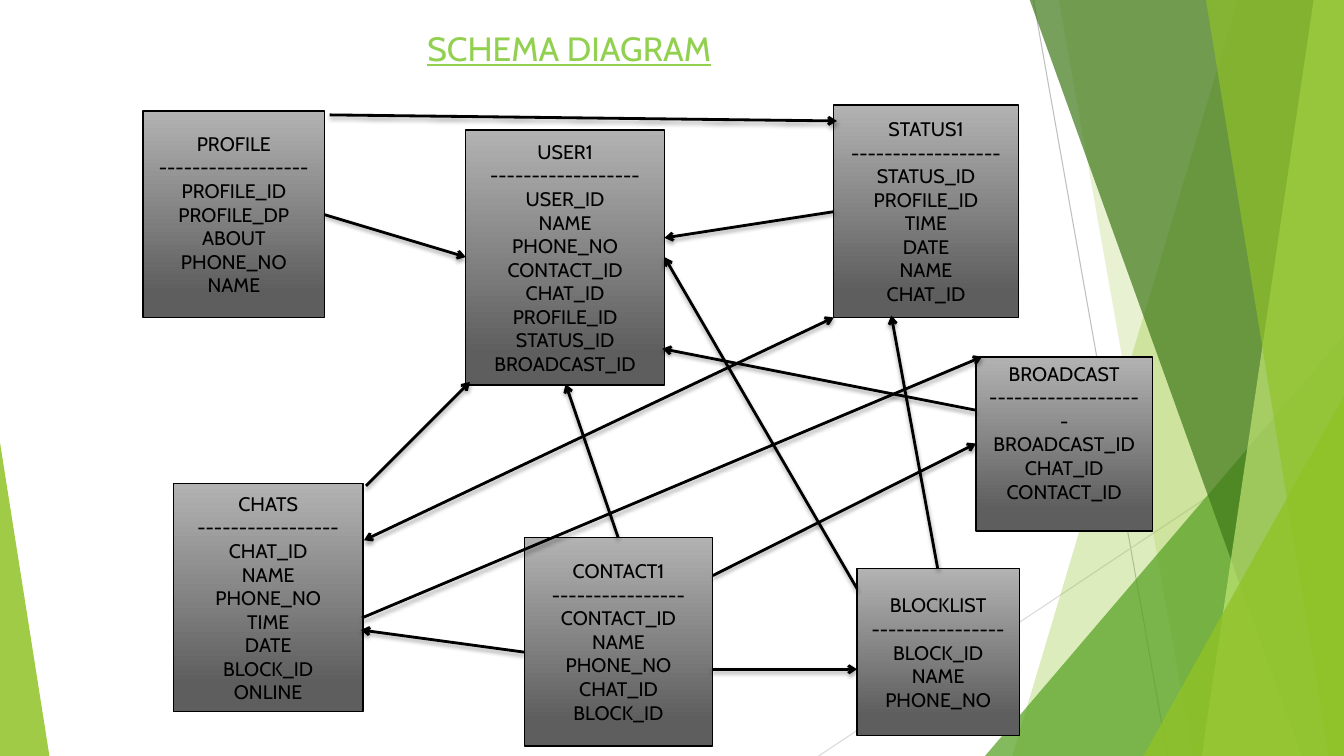
from dataclasses import dataclass

from lxml import etree
from pptx import Presentation
from pptx.dml.color import RGBColor
from pptx.enum.shapes import MSO_CONNECTOR, MSO_SHAPE
from pptx.enum.text import MSO_ANCHOR, PP_ALIGN
from pptx.oxml.ns import qn
from pptx.util import Pt

PX = 9144
SLIDE_WIDTH, SLIDE_HEIGHT = 1333, 750

STRAIGHT = MSO_CONNECTOR.STRAIGHT
RECTANGLE = MSO_SHAPE.RECTANGLE
TRIANGLE = MSO_SHAPE.ISOSCELES_TRIANGLE
MIDDLE = MSO_ANCHOR.MIDDLE
CENTER = PP_ALIGN.CENTER

BLACK = RGBColor(0x00, 0x00, 0x00)
LIGHT_GREY = RGBColor(0xB2, 0xB2, 0xB2)
DARK_GREY = RGBColor(0x5E, 0x5E, 0x5E)
SILVER = RGBColor(0xBF, 0xBF, 0xBF)
PALE_SILVER = RGBColor(0xD9, 0xD9, 0xD9)
LEAF = RGBColor(0x90, 0xC2, 0x26)
GRASS = RGBColor(0x54, 0xA0, 0x21)
FOREST = RGBColor(0x3F, 0x78, 0x19)
LIME = RGBColor(0xC0, 0xE4, 0x74)
TITLE_GREEN = RGBColor(0x92, 0xD0, 0x50)

TITLE_FONT = {"name": "Cabin", "size": Pt(24), "underline": True}
FIELD_FONT = {"name": "Cabin", "size": Pt(14)}
ENTITY_FRAME = {"word_wrap": True, "vertical_anchor": MIDDLE}
SHADOW = {"blurRad": Pt(3), "dist": Pt(2), "dir": 5400000, "rotWithShape": 0}
SHADOW_ALPHA = 35


@dataclass(frozen=True)
class Band:
    top_left: int
    bottom_left: int
    color: RGBColor
    opacity: int


@dataclass(frozen=True)
class Corner:
    left: int
    top: int
    width: int
    apex: int
    color: RGBColor
    opacity: int


@dataclass(frozen=True)
class Entity:
    left: int
    top: int
    width: int
    height: int
    name: str
    dashes: int
    fields: str
    bottom_inset: int = 5


@dataclass(frozen=True)
class Link:
    start: tuple[int, int]
    end: tuple[int, int]
    color: RGBColor = BLACK
    weight: float = 2
    arrows: tuple[str, ...] = ("tailEnd",)
    shadow: bool = True


FACET_LINES = [
    Link((1025, 0), (1158, 750), SILVER, 0.75, (), False),
    Link((1333, 403), (812, 750), PALE_SILVER, 0.75, (), False),
]

FACETS = [
    Band(1228, 1004, LEAF, 30),
    Band(1050, 1183, LEAF, 20),
    Corner(977, 333, 356, 1, GRASS, 72),
    Band(1021, 1291, FOREST, 70),
    Band(1303, 1192, LIME, 70),
    Band(1196, 1318, LEAF, 65),
    Corner(1134, 393, 199, 1, LEAF, 80),
    Corner(0, 439, 49, 0, LEAF, 85),
]

ENTITIES = [
    Entity(142, 110, 180, 205, "PROFILE", 18,
           "PROFILE_ID PROFILE_DP ABOUT PHONE_NO NAME"),
    Entity(462, 129, 197, 253, "USER1", 18,
           "USER_ID NAME PHONE_NO CONTACT_ID CHAT_ID PROFILE_ID STATUS_ID BROADCAST_ID"),
    Entity(172, 480, 188, 226, "CHATS", 17,
           "CHAT_ID NAME PHONE_NO TIME DATE BLOCK_ID ONLINE"),
    Entity(520, 533, 187, 207, "CONTACT1", 16,
           "CONTACT_ID NAME PHONE_NO CHAT_ID BLOCK_ID"),
    Entity(827, 104, 183, 211, "STATUS1", 18,
           "STATUS_ID PROFILE_ID TIME DATE NAME CHAT_ID"),
    Entity(968, 354, 175, 173, "BROADCAST", 19,
           "BROADCAST_ID CHAT_ID CONTACT_ID", bottom_inset=28),
    Entity(850, 564, 161, 166, "BLOCKLIST", 16, "BLOCK_ID NAME PHONE_NO"),
]

LINKS = [
    Link((322, 213), (462, 255)),
    Link((359, 613), (974, 354)),
    Link((361, 536), (827, 315), arrows=("headEnd", "tailEnd")),
    Link((327, 114), (830, 120)),
    Link((363, 482), (466, 379)),
    Link((613, 533), (561, 381)),
    Link((706, 664), (850, 664)),
    Link((850, 584), (659, 255)),
    Link((707, 571), (968, 440)),
    Link((520, 647), (358, 625)),
    Link((827, 210), (659, 236)),
    Link((968, 407), (657, 346)),
    Link((930, 564), (884, 313)),
]


def apply_format(target: object, values: dict) -> None:
    for attribute, value in values.items():
        setattr(target, attribute, value)


def add_alpha(color_element, percent: int) -> None:
    etree.SubElement(color_element, qn("a:alpha"), val=str(percent * 1000))


def draw_link(shapes, link: Link) -> None:
    ends = [length * PX for length in (*link.start, *link.end)]
    connector = shapes.add_connector(STRAIGHT, *ends)
    connector.line.color.rgb = link.color
    connector.line.width = Pt(link.weight)
    properties = connector._element.spPr
    outline = properties.find(qn("a:ln"))
    for arrow in link.arrows:
        etree.SubElement(outline, qn(f"a:{arrow}"), type="arrow")
    effects = etree.SubElement(properties, qn("a:effectLst"))
    if link.shadow:
        settings = {key: str(value) for key, value in SHADOW.items()}
        shadow = etree.SubElement(effects, qn("a:outerShdw"), settings)
        shade = etree.SubElement(shadow, qn("a:srgbClr"), val=str(BLACK))
        add_alpha(shade, SHADOW_ALPHA)


def draw_facet(shapes, facet: Band | Corner) -> None:
    if isinstance(facet, Band):
        builder = shapes.build_freeform(facet.top_left, -1, scale=PX)
        builder.add_line_segments([
            (SLIDE_WIDTH, -1), (SLIDE_WIDTH, SLIDE_HEIGHT), (facet.bottom_left, SLIDE_HEIGHT),
        ])
        panel = builder.convert_to_shape()
    else:
        panel = shapes.add_shape(TRIANGLE, facet.left * PX, facet.top * PX,
                                 facet.width * PX, (SLIDE_HEIGHT - facet.top) * PX)
        panel.adjustments[0] = facet.apex
    panel.shadow.inherit = False
    panel.line.fill.background()
    panel.fill.solid()
    panel.fill.fore_color.rgb = facet.color
    add_alpha(panel._element.spPr.find(qn("a:solidFill"))[0], facet.opacity)


def draw_entity(shapes, entity: Entity) -> None:
    table_box = shapes.add_shape(RECTANGLE, entity.left * PX, entity.top * PX,
                                 entity.width * PX, entity.height * PX)
    table_box.shadow.inherit = False
    table_box.line.color.rgb = BLACK
    table_box.line.width = Pt(1)
    table_box.fill.gradient()
    table_box.fill.gradient_angle = 270
    shades = ((0, LIGHT_GREY), (0.88, DARK_GREY))
    for stop, (position, color) in zip(table_box.fill.gradient_stops, shades):
        stop.position = position
        stop.color.rgb = color
    frame = table_box.text_frame
    apply_format(frame, ENTITY_FRAME | {"margin_bottom": entity.bottom_inset * PX})
    frame.text = "\n".join([entity.name, "-" * entity.dashes, *entity.fields.split()])
    for row in frame.paragraphs:
        row.alignment = CENTER
        apply_format(row.runs[0].font, FIELD_FONT)
        row.runs[0].font.color.rgb = BLACK


def draw_title(shapes) -> None:
    title = shapes.add_textbox(414 * PX, 23 * PX, 379 * PX, 50 * PX)
    title.text_frame.word_wrap = True
    heading = title.text_frame.paragraphs[0].add_run()
    heading.text = "SCHEMA DIAGRAM"
    apply_format(heading.font, TITLE_FONT)
    heading.font.color.rgb = TITLE_GREEN


def main() -> None:
    deck = Presentation()
    deck.slide_width = SLIDE_WIDTH * PX
    deck.slide_height = SLIDE_HEIGHT * PX
    shapes = deck.slides.add_slide(deck.slide_layouts[6]).shapes
    for draw, parts in ((draw_link, FACET_LINES), (draw_facet, FACETS),
                        (draw_entity, ENTITIES), (draw_link, LINKS)):
        for part in parts:
            draw(shapes, part)
    draw_title(shapes)
    deck.save("out.pptx")


if __name__ == "__main__":
    main()
